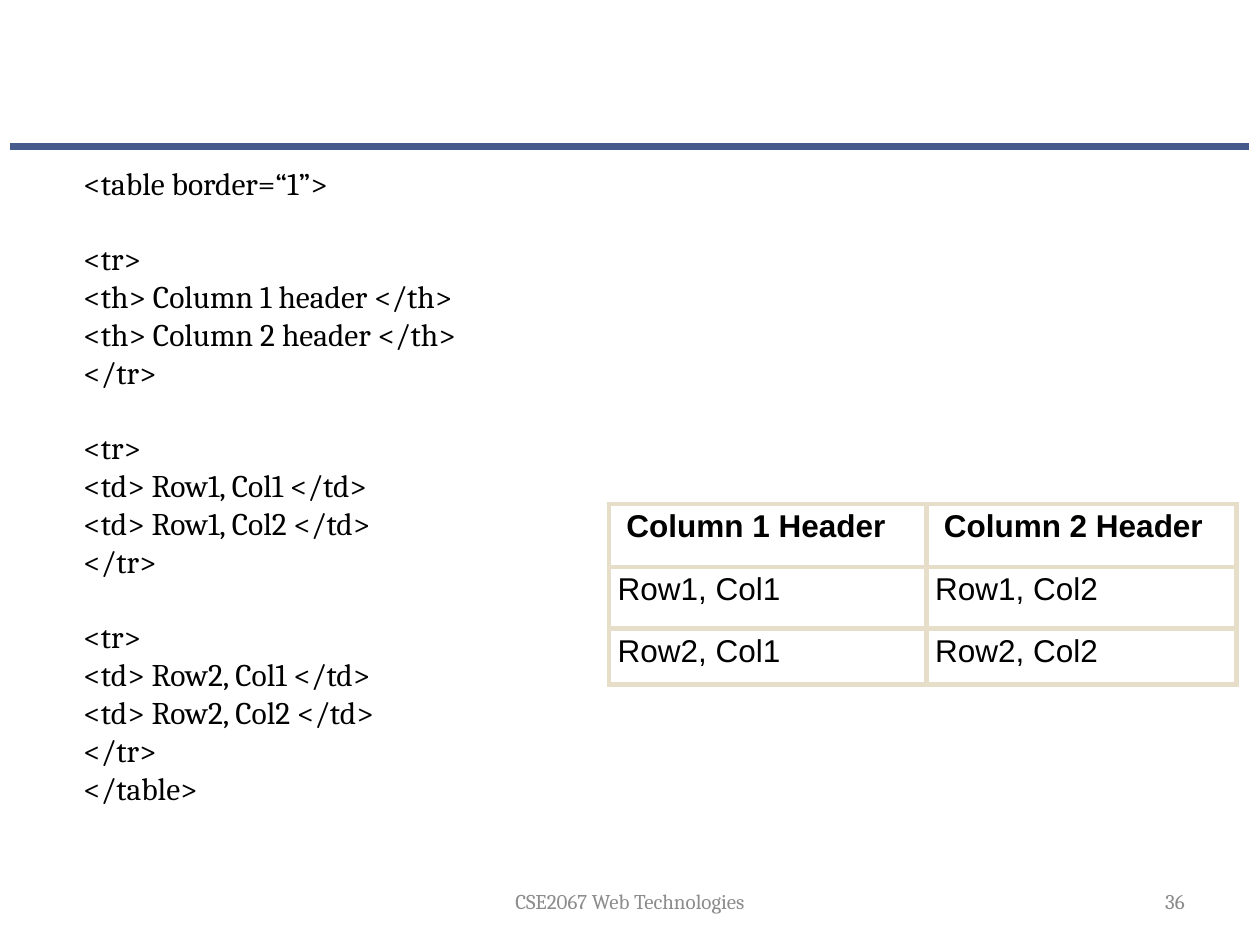
from lxml.etree import SubElement
from pptx import Presentation
from pptx.dml.color import RGBColor
from pptx.enum.shapes import MSO_CONNECTOR
from pptx.enum.text import MSO_ANCHOR, MSO_AUTO_SIZE, PP_ALIGN
from pptx.oxml.ns import qn
from pptx.util import Pt

# Each inner list is one block of markup, set apart by an empty line's height
CODE_BLOCKS = [
    ["<table border=“1”>"],
    ["<tr>", "<th> Column 1 header </th>", "<th> Column 2 header </th>", "</tr>"],
    ["<tr>", "<td> Row1, Col1 </td>", "<td> Row1, Col2 </td>", "</tr>"],
    ["<tr>", "<td> Row2, Col1 </td>", "<td> Row2, Col2 </td>", "</tr>", "</table>"],
]
RESULT_ROWS = [
    [" Column 1 Header", " Column 2 Header"],
    ["Row1, Col1", "Row1, Col2"],
    ["Row2, Col1", "Row2, Col2"],
]
COLUMN_WIDTHS = [181.4, 177.1]
ROW_HEIGHTS = [36, 35.3, 31.7]
FOOTERS = [
    ("CSE2067 Web Technologies", 246, 228, PP_ALIGN.CENTER, "8C8C8C"),
    ("36", 516, 168, PP_ALIGN.RIGHT, "898989"),
]
BLOCK_GAP = 21.6
NO_STYLE_TABLE = "{2D5ABB26-0587-4C30-8999-92F81FD0307C}"


def paint(color_format, hex_color):
    color_format.rgb = RGBColor.from_string(hex_color)


def add_run(paragraph, text, font_name, size, color="000000", bold=False):
    run = paragraph.add_run()
    run.text = text
    run.font.name = font_name
    run.font.size = Pt(size)
    run.font.bold = bold
    paint(run.font.color, color)


def add_header_rule(slide):
    rule = slide.shapes.add_connector(
        MSO_CONNECTOR.STRAIGHT, Pt(6), Pt(84), Pt(714), Pt(84))
    paint(rule.line.color, "475A8D")
    rule.line.width = Pt(4)
    SubElement(rule._element.spPr, qn("a:effectLst"))


def fill_code(body):
    body.left, body.top, body.width, body.height = Pt(40.5), Pt(90), Pt(459), Pt(346.5)
    body.fill.solid()
    paint(body.fill.fore_color, "FFFFFF")
    frame = body.text_frame
    frame.auto_size = MSO_AUTO_SIZE.NONE
    frame.vertical_anchor = MSO_ANCHOR.TOP
    for block_index, block in enumerate(CODE_BLOCKS):
        for line_index, code_line in enumerate(block):
            first = block_index == line_index == 0
            paragraph = frame.paragraphs[0] if first else frame.add_paragraph()
            starts_block = line_index == 0 and not first
            paragraph.space_before = Pt(BLOCK_GAP if starts_block else 0)
            properties = paragraph._p.get_or_add_pPr()
            properties.set("marL", str(Pt(18)))
            properties.set("indent", str(Pt(-18)))
            SubElement(properties, qn("a:buNone"))
            add_run(paragraph, code_line, "Cambria", 18)


def add_borders(cell):
    properties = cell._tc.get_or_add_tcPr()
    for position, side in enumerate(("lnL", "lnR", "lnT", "lnB")):
        border = properties.makeelement(qn(f"a:{side}"), {"w": str(Pt(3))})
        fill = SubElement(border, qn("a:solidFill"))
        SubElement(fill, qn("a:srgbClr"), val="E7DEC9")
        properties.insert(position, border)


def add_result_table(slide):
    frame = slide.shapes.add_table(
        len(ROW_HEIGHTS), len(COLUMN_WIDTHS), Pt(348), Pt(288),
        Pt(sum(COLUMN_WIDTHS)), Pt(sum(ROW_HEIGHTS)))
    table = frame.table
    table.horz_banding = False
    table._tbl.tblPr.find(qn("a:tableStyleId")).text = NO_STYLE_TABLE
    for column, width in zip(table.columns, COLUMN_WIDTHS):
        column.width = Pt(width)
    for row, height, labels in zip(table.rows, ROW_HEIGHTS, RESULT_ROWS):
        row.height = Pt(height)
        for cell, label in zip(row.cells, labels):
            cell.fill.background()
            cell.margin_left = cell.margin_right = Pt(5)
            cell.margin_top = cell.margin_bottom = Pt(3)
            paragraph = cell.text_frame.paragraphs[0]
            paragraph.space_before = Pt(3.6)
            add_run(paragraph, label, "Arial", 18, bold=labels is RESULT_ROWS[0])
            add_borders(cell)


def add_footer(slide, text, left, width, alignment, color):
    footer = slide.shapes.add_textbox(Pt(left), Pt(500.5), Pt(width), Pt(28.8))
    footer.text_frame.word_wrap = True
    footer.text_frame.vertical_anchor = MSO_ANCHOR.MIDDLE
    paragraph = footer.text_frame.paragraphs[0]
    paragraph.alignment = alignment
    add_run(paragraph, text, "Cambria", 12, color)


def main():
    deck = Presentation()
    deck.slide_width, deck.slide_height = Pt(720), Pt(540)
    slide = deck.slides.add_slide(deck.slide_layouts[1])
    title = slide.shapes.title._element
    title.getparent().remove(title)
    add_header_rule(slide)
    fill_code(slide.placeholders[1])
    for footer in FOOTERS:
        add_footer(slide, *footer)
    add_result_table(slide)
    deck.save("out.pptx")


if __name__ == "__main__":
    main()
